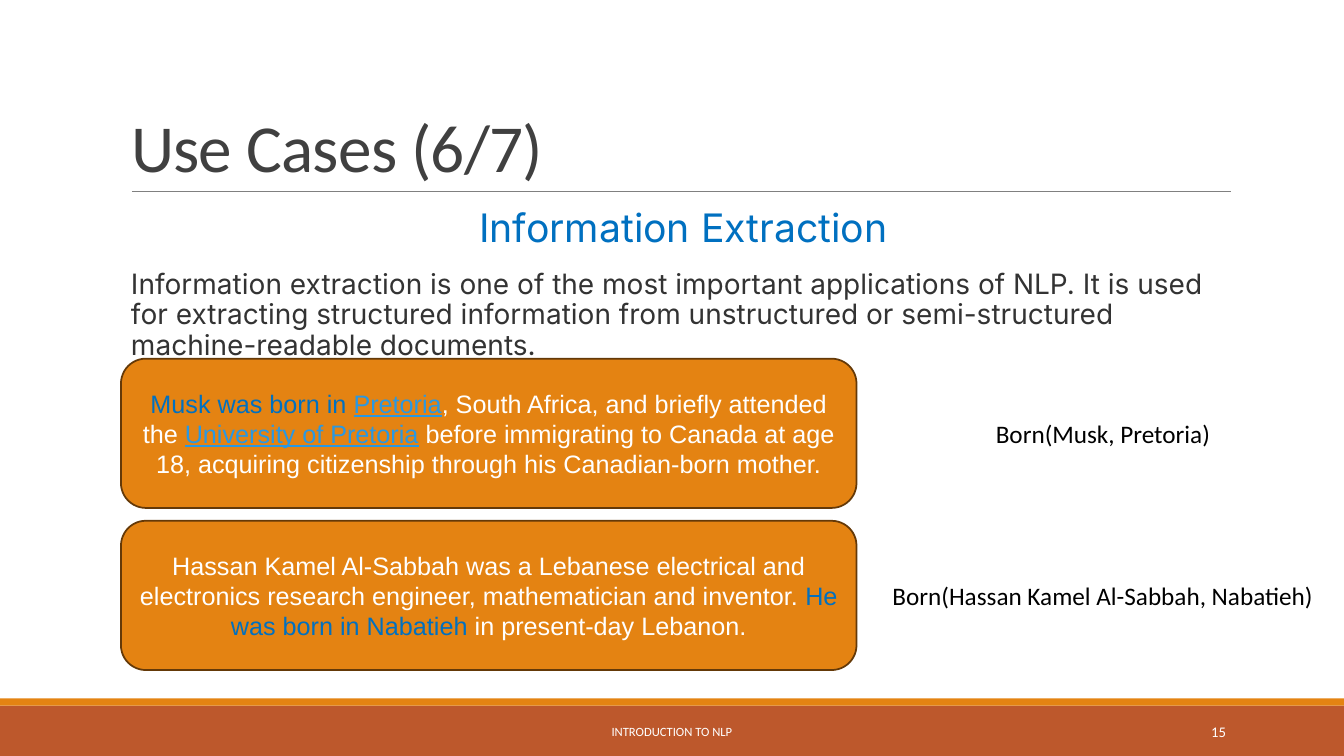
from dataclasses import dataclass

from lxml.etree import SubElement
from pptx import Presentation
from pptx.dml.color import RGBColor
from pptx.enum.shapes import MSO_CONNECTOR, MSO_SHAPE
from pptx.enum.text import MSO_ANCHOR, MSO_AUTO_SIZE, PP_ALIGN
from pptx.oxml.ns import qn
from pptx.util import Pt


@dataclass(frozen=True)
class Theme:
    orange: str = "E48312"
    rust: str = "BD582C"
    brown: str = "643908"
    rule: str = "808080"
    title: str = "404040"
    body: str = "333333"
    blue: str = "0070C0"
    link: str = "2998E3"
    white: str = "FFFFFF"
    black: str = "000000"
    title_size: float = 48
    heading_size: float = 28
    body_size: float = 20
    example_size: float = 18
    number_size: float = 10.5
    footer_size: float = 9


theme = Theme()


def add_runs(paragraph, runs, font_name, size):
    """Add (text, colour) runs; text in the link colour is underlined."""
    for text, color in runs:
        run = paragraph.add_run()
        run.text = text
        run.font.name = font_name
        run.font.size = Pt(size)
        run.font.color.rgb = RGBColor.from_string(color)
        if color == theme.link:
            run.font.underline = True


def add_shape(kind, left, top, width, height, fill):
    shape = slide.shapes.add_shape(kind, Pt(left), Pt(top), Pt(width), Pt(height))
    shape.shadow.inherit = False
    shape.fill.solid()
    shape.fill.fore_color.rgb = RGBColor.from_string(fill)
    shape.line.fill.background()
    return shape


presentation = Presentation()
presentation.slide_width = Pt(960)
presentation.slide_height = Pt(540)
slide = presentation.slides.add_slide(presentation.slide_layouts[5])

# Bands at the foot and the rule under the title
add_shape(MSO_SHAPE.RECTANGLE, 0, 504, 960, 36, theme.rust)
add_shape(MSO_SHAPE.RECTANGLE, 0, 498.8, 960, 5.2, theme.orange)
title_rule = slide.shapes.add_connector(
    MSO_CONNECTOR.STRAIGHT, Pt(94.2), Pt(136.8), Pt(879), Pt(136.8))
title_rule.line.color.rgb = RGBColor.from_string(theme.rule)
title_rule.line.width = Pt(0.5)
SubElement(title_rule.element.spPr, qn("a:effectLst"))

# Title
title = slide.shapes.title
title.left, title.top, title.width, title.height = Pt(86.4), Pt(22.6), Pt(792), Pt(114.2)
title.text_frame.auto_size = MSO_AUTO_SIZE.NONE
title.text_frame.vertical_anchor = MSO_ANCHOR.BOTTOM
paragraph = title.text_frame.paragraphs[0]
paragraph.alignment = PP_ALIGN.LEFT
paragraph.line_spacing = 0.85
add_runs(paragraph, [("Use Cases (6/7)", theme.title)], "Calibri", theme.title_size)
paragraph.runs[0].font.element.set("spc", "-50") if hasattr(
    paragraph.runs[0].font, "element") else paragraph.runs[0]._r.get_or_add_rPr().set("spc", "-50")

# Heading and introduction
body = slide.shapes.add_textbox(Pt(86.4), Pt(145.4), Pt(796.3), Pt(101.5)).text_frame
body.word_wrap = True
body.margin_left = body.margin_right = 0
introduction = (
    "Information extraction is one of the most important applications of NLP. "
    "It is used for extracting structured information from unstructured or "
    "semi-structured machine-readable documents.")
body_paragraphs = [
    ("Information Extraction", theme.blue, theme.heading_size, PP_ALIGN.CENTER),
    (introduction, theme.body, theme.body_size, PP_ALIGN.LEFT),
]
for index, (text, color, size, alignment) in enumerate(body_paragraphs):
    paragraph = body.add_paragraph() if index else body.paragraphs[0]
    paragraph.alignment = alignment
    paragraph.line_spacing = 0.9
    paragraph.space_before = Pt(12)
    paragraph.space_after = Pt(2)
    paragraph._p.get_or_add_pPr().set("marL", str(Pt(7.2)))
    add_runs(paragraph, [(text, color)], "Inter", size)

# Example sentences, each with the relation extracted from it
examples = [
    ([("Musk was born in ", theme.blue),
      ("Pretoria", theme.link),
      (", South Africa, and briefly attended the ", theme.white),
      ("University of Pretoria", theme.link),
      (" before immigrating to Canada at age 18, acquiring citizenship "
       "through his Canadian-born mother.", theme.white)],
     "Born(Musk, Pretoria)", 704.2, 169.2),
    ([("Hassan Kamel Al-Sabbah was a Lebanese electrical and electronics "
       "research engineer, mathematician and inventor. ", theme.white),
      ("He was born in Nabatieh", theme.blue),
      (" in present-day Lebanon.", theme.white)],
     "Born(Hassan Kamel Al-Sabbah, Nabatieh)", 630.4, 318.2),
]
for index, (runs, relation, relation_left, relation_width) in enumerate(examples):
    top = 256.2 + index * 115.8
    box = add_shape(MSO_SHAPE.ROUNDED_RECTANGLE, 86.4, top, 525.4, 106.6, theme.orange)
    box.line.color.rgb = RGBColor.from_string(theme.brown)
    box.line.width = Pt(1.25)
    box.text_frame.vertical_anchor = MSO_ANCHOR.MIDDLE
    paragraph = box.text_frame.paragraphs[0]
    paragraph.alignment = PP_ALIGN.CENTER
    add_runs(paragraph, runs, "Arial", theme.example_size)

    label = slide.shapes.add_textbox(
        Pt(relation_left), Pt(top + 38.8), Pt(relation_width), Pt(29)).text_frame
    label.word_wrap = False
    label.auto_size = MSO_AUTO_SIZE.SHAPE_TO_FIT_TEXT
    add_runs(label.paragraphs[0], [(relation, theme.black)], "Calibri", theme.example_size)

# Footer and slide number
footers = [
    ("INTRODUCTION TO NLP", 290.2, 379.4, theme.footer_size, PP_ALIGN.CENTER),
    ("15", 779.8, 103, theme.number_size, PP_ALIGN.RIGHT),
]
for text, left, width, size, alignment in footers:
    footer = slide.shapes.add_textbox(Pt(left), Pt(508.4), Pt(width), Pt(28.8)).text_frame
    footer.word_wrap = True
    footer.vertical_anchor = MSO_ANCHOR.MIDDLE
    footer.paragraphs[0].alignment = alignment
    add_runs(footer.paragraphs[0], [(text, theme.white)], "Calibri", size)

presentation.save("out.pptx")
